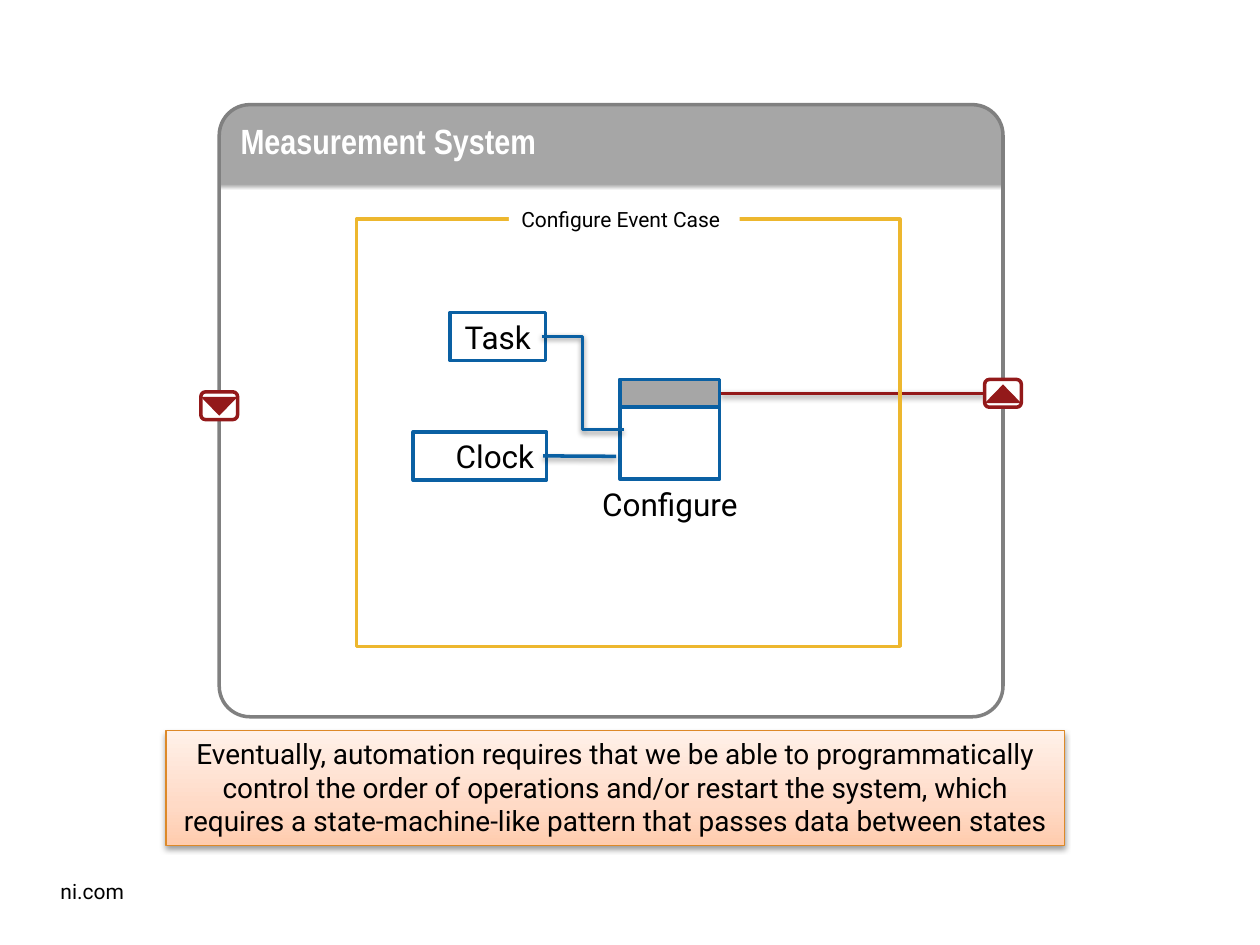
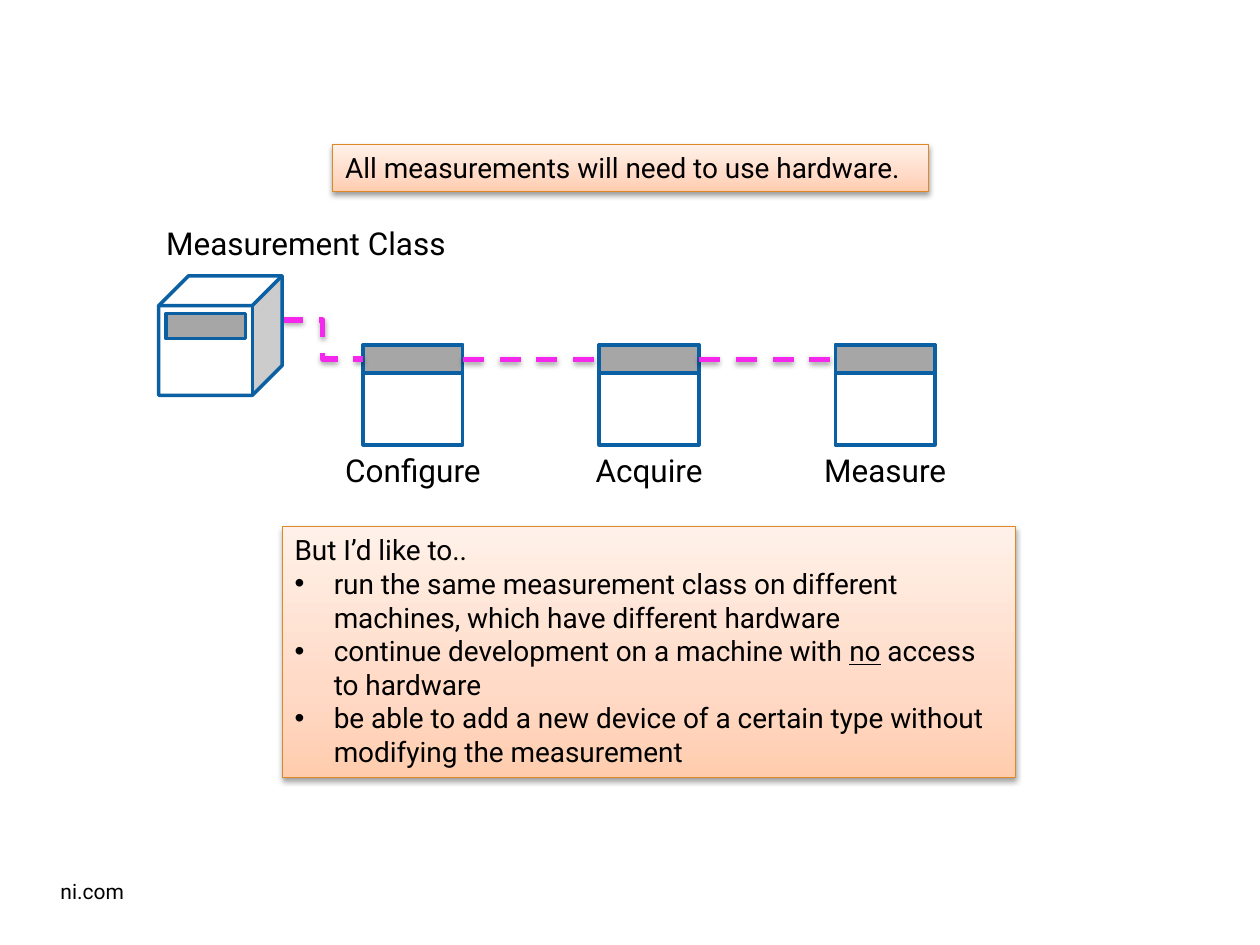
from dataclasses import dataclass
from itertools import pairwise
from typing import NamedTuple

from lxml import etree
from pptx import Presentation
from pptx.dml.color import RGBColor
from pptx.enum.dml import MSO_LINE
from pptx.enum.shapes import MSO_CONNECTOR as Wire, MSO_SHAPE as Preset
from pptx.enum.text import MSO_ANCHOR as Anchor, PP_ALIGN as Align
from pptx.oxml import parse_xml
from pptx.oxml.ns import nsdecls, qn
from pptx.util import Cm, Pt


@dataclass(frozen=True)
class Theme:
    # Colours
    black: str = "000000"
    white: str = "FFFFFF"
    gray: str = "A6A6A6"
    frame: str = "808080"
    blue: str = "0A60A3"
    red: str = "93191A"
    yellow: str = "EDB72E"
    magenta: str = "F527ED"
    note_line: str = "DD8928"
    note_stops: tuple = ((0, "FFCCAE"), (35, "FFDAC6"), (100, "FFF1E9"))
    system_stops: tuple = ((12, "A6A6A6"), (13, "A6A6A6"), (14, "FFFFFF"))
    # Fonts and sizes in points
    body_font: str = "Roboto"
    title_font: str = "Arial Narrow"
    title: int = 20
    label: int = 18
    note: int = 16
    small: int = 12
    # Line widths in points
    outline: float = 2
    dashed: float = 3
    hairline: float = 0.75


THEME = Theme()
ICON_SIZE = 2.01
ICON_HEADER = 0.56


class Box(NamedTuple):
    """A rectangle in centimetres."""
    left: float
    top: float
    width: float
    height: float

    def inside(self, across, down, width, height):
        return Box(self.left + across, self.top + down, width, height)

    def lengths(self):
        return [Cm(value) for value in self]


# ---- Drawing helpers ----

def add_effects(shape, shadow):
    """Replace the default shadow by a soft one or by none."""
    effects = etree.SubElement(shape._element.spPr, qn("a:effectLst"))
    if shadow:
        effects.append(parse_xml(
            f'<a:outerShdw {nsdecls("a")} blurRad="40000" dist="20000" '
            'dir="5400000" rotWithShape="0"><a:srgbClr val="000000">'
            '<a:alpha val="38000"/></a:srgbClr></a:outerShdw>'))


def add_gradient(shape, stops, angle):
    stop_xml = "".join(
        f'<a:gs pos="{position * 1000}"><a:srgbClr val="{color}"/></a:gs>'
        for position, color in stops)
    shape._element.spPr.insert(2, parse_xml(
        f'<a:gradFill {nsdecls("a")} rotWithShape="1"><a:gsLst>{stop_xml}</a:gsLst>'
        f'<a:lin ang="{angle * 60000}" scaled="0"/></a:gradFill>'))


def add_preset(slide, preset, box, fill=None, line=None, width=THEME.outline,
               stops=None, angle=90, shadow=False):
    shape = slide.shapes.add_shape(preset, *box.lengths())
    if stops:
        add_gradient(shape, stops, angle)
    elif fill:
        shape.fill.solid()
        shape.fill.fore_color.rgb = RGBColor.from_string(fill)
    else:
        shape.fill.background()
    if line:
        shape.line.color.rgb = RGBColor.from_string(line)
        shape.line.width = Pt(width)
    else:
        shape.line.fill.background()
    add_effects(shape, shadow)
    return shape


def add_wire(slide, start, end, color, kind=Wire.STRAIGHT, dashed=False, shadow=True):
    wire = slide.shapes.add_connector(kind, *(Cm(value) for value in (*start, *end)))
    wire.line.color.rgb = RGBColor.from_string(color)
    wire.line.width = Pt(THEME.dashed if dashed else THEME.outline)
    if dashed:
        wire.line.dash_style = MSO_LINE.DASH
    add_effects(wire, shadow)


def add_bullet(paragraph):
    properties = paragraph._p.get_or_add_pPr()
    properties.set("marL", str(Cm(0.79)))
    properties.set("indent", str(-Cm(0.79)))
    etree.SubElement(properties, qn("a:buFont")).set("typeface", "Arial")
    etree.SubElement(properties, qn("a:buChar")).set("char", "•")


def style_paragraph(paragraph, size, align=Align.LEFT, color=THEME.black,
                    font=THEME.body_font, bold=False):
    paragraph.alignment = align
    paragraph.font.size = Pt(size)
    paragraph.font.name = font
    paragraph.font.bold = bold
    paragraph.font.color.rgb = RGBColor.from_string(color)


def write(shape, text, size, anchor=Anchor.TOP, wrap=True, **style):
    frame = shape.text_frame
    frame.word_wrap = wrap
    frame.vertical_anchor = anchor
    frame.text = text
    style_paragraph(frame.paragraphs[0], size, **style)


def add_label(slide, box, text, size=THEME.label, align=Align.LEFT):
    write(slide.shapes.add_textbox(*box.lengths()), text, size, align=align)


# ---- Parts shared by the slides ----

def add_footer(slide):
    add_label(slide, Box(0.97, 17.58, 3, 0.76), "ni.com", THEME.small)


def add_note(slide, box, text, align=Align.LEFT):
    note = add_preset(slide, Preset.RECTANGLE, box, line=THEME.note_line,
                      width=THEME.hairline, stops=THEME.note_stops, angle=270,
                      shadow=True)
    write(note, text, THEME.note, align=align)
    return note


def add_method(slide, box, name):
    """A method icon with a gray header and its name below."""
    for height, fill in ((box.height, THEME.white), (ICON_HEADER, THEME.gray)):
        add_preset(slide, Preset.RECTANGLE, box.inside(0, 0, box.width, height),
                   fill, THEME.blue)
    add_label(slide, box.inside(-1, box.height, box.width + 2, 1.02), name,
              align=Align.CENTER)


# ---- Slide 1: measurement system ----

def add_register(slide, box, points_down):
    add_preset(slide, Preset.ROUNDED_RECTANGLE, box, THEME.white, THEME.red)
    arrow = add_preset(slide, Preset.ISOSCELES_TRIANGLE,
                       box.inside(0, 0.1, box.width, 0.38), THEME.red)
    arrow.rotation = 180 if points_down else 0


def add_event_case(slide, box):
    add_method(slide, box.inside(5.31, 3.23, ICON_SIZE, ICON_SIZE), "Configure")

    # Inputs and their wires
    inputs = (("Task", box.inside(1.88, 1.88, 1.93, 0.97), Align.CENTER),
              ("Clock", box.inside(1.14, 4.29, 2.69, 0.97), Align.RIGHT))
    for name, place, align in inputs:
        terminal = add_preset(slide, Preset.RECTANGLE, place, THEME.white, THEME.blue)
        write(terminal, name, THEME.label, Anchor.MIDDLE, align=align)
    for kind, across, down, end_across, end_down in (
            (Wire.ELBOW, 3.73, 2.36, 5.38, 4.24),
            (Wire.STRAIGHT, 3.76, 4.77, 5.23, 4.78)):
        add_wire(slide, (box.left + across, box.top + down),
                 (box.left + end_across, box.top + end_down), THEME.blue, kind)

    # Frame with its name set into the top edge
    add_preset(slide, Preset.RECTANGLE, box, line=THEME.yellow)
    tab = add_preset(slide, Preset.RECTANGLE, box.inside(3.07, -0.38, 4.65, 0.76),
                     THEME.white)
    write(tab, "Configure Event Case", THEME.small)


def add_system(slide, box):
    system = add_preset(slide, Preset.ROUNDED_RECTANGLE, box, line=THEME.frame,
                        stops=THEME.system_stops)
    system.adjustments[0] = 0.05
    write(system, "Measurement System", THEME.title, color=THEME.white,
          font=THEME.title_font, bold=True)

    # Registers sit centred on the side edges
    width, height = 0.74, 0.56
    left_register = box.inside(-width / 2, 5.79, width, height)
    right_register = box.inside(box.width - width / 2, 5.54, width, height)
    wire_y = right_register.top + height / 2
    add_wire(slide, (box.left + 10.1, wire_y), (right_register.left, wire_y), THEME.red)
    add_event_case(slide, box.inside(2.77, 2.31, 10.95, 8.61))
    add_register(slide, right_register, points_down=False)
    add_register(slide, left_register, points_down=True)


def build_system_slide(slide):
    add_footer(slide)
    add_system(slide, Box(4.42, 2.11, 15.8, 12.34))
    add_note(slide, Box(3.35, 14.73, 18.11, 2.31),
             "Eventually, automation requires that we be able to programmatically "
             "control the order of operations and/or restart the system, which "
             "requires a state-machine-like pattern that passes data between states",
             Align.CENTER)


# ---- Slide 2: measurement class ----

def add_class_cube(slide, box):
    add_preset(slide, Preset.CUBE, box, THEME.white, THEME.blue)
    add_preset(slide, Preset.RECTANGLE, box.inside(0.15, 0.76, 1.6, 0.51),
               THEME.gray, THEME.blue)
    add_label(slide, box.inside(-0.1, -1.17, 6.25, 1.02), "Measurement Class")


def add_method_chain(slide, box, names):
    """Equally spaced methods across the box, joined by dashed wires."""
    pitch = (box.width - ICON_SIZE) / (len(names) - 1)
    icons = [box.inside(pitch * index, 0, ICON_SIZE, ICON_SIZE)
             for index in range(len(names))]
    for icon, name in zip(icons, names):
        add_method(slide, icon, name)
    wire_y = box.top + ICON_HEADER / 2
    for icon, following in pairwise(icons):
        add_wire(slide, (icon.left + icon.width, wire_y), (following.left, wire_y),
                 THEME.magenta, dashed=True)


def add_wish_list(slide, box):
    frame = add_note(slide, box, "But I’d like to..").text_frame
    wishes = (
        ("run the same measurement class on different machines, "
         "which have different hardware",),
        ("continue development on a machine with ", "no", " access to hardware"),
        ("be able to add a new device of a certain type without "
         "modifying the measurement",),
    )
    for wish in wishes:
        paragraph = frame.add_paragraph()
        add_bullet(paragraph)
        style_paragraph(paragraph, THEME.note)
        for index, words in enumerate(wish):
            run = paragraph.add_run()
            run.text = words
            if index == 1:
                run.font.underline = True


def build_class_slide(slide):
    add_footer(slide)
    cube = Box(3.2, 5.56, 2.49, 2.41)
    chain = Box(7.32, 6.96, 11.53, ICON_SIZE)
    add_method_chain(slide, chain, ("Configure", "Acquire", "Measure"))
    add_wire(slide, (cube.left + cube.width, cube.top + 0.89),
             (chain.left, chain.top + ICON_HEADER / 2),
             THEME.magenta, Wire.ELBOW, dashed=True)
    add_class_cube(slide, cube)
    add_wish_list(slide, Box(5.69, 10.62, 14.78, 5.05))
    add_note(slide, Box(6.71, 2.92, 12.01, 0.94),
             "All measurements will need to use hardware.")


def main():
    presentation = Presentation()
    presentation.slide_width, presentation.slide_height = Cm(25.4), Cm(19.05)
    blank = presentation.slide_layouts[6]
    for build in (build_system_slide, build_class_slide):
        build(presentation.slides.add_slide(blank))
    presentation.save("out.pptx")


if __name__ == "__main__":
    main()
